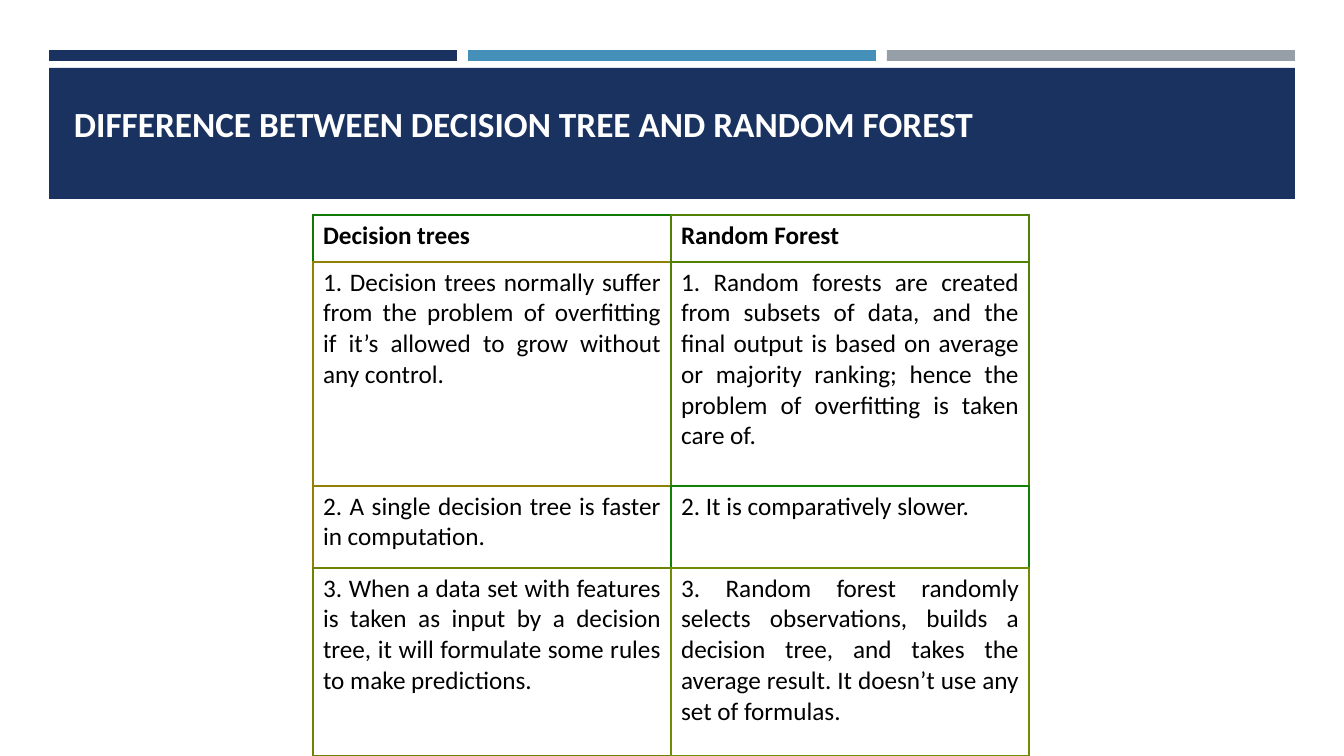
from lxml.etree import SubElement
from pptx import Presentation
from pptx.dml.color import RGBColor
from pptx.enum.shapes import MSO_SHAPE as Shape
from pptx.enum.text import MSO_ANCHOR as Anchor, PP_ALIGN as Align
from pptx.oxml.ns import qn
from pptx.util import Emu, Pt

EMU_PER_PX = 914400 / 100.8
FONT = "Calibri"
COLORS = {
    "navy": "1A3260",
    "blue": "4590B8",
    "gray": "969FA7",
    "white": "FFFFFF",
    "black": "000000",
    "green": "107904",
    "leaf": "508104",
    "gold": "908304",
    "olive": "908104",
    "emerald": "108204",
    "moss": "708204",
    "lime": "708C04",
}
SIDES = ("lnL", "lnR", "lnT", "lnB")
COLUMN_WIDTH = 358
ROW_HEIGHTS = (47, 224, 82, 188)

# Each cell: its text, then its border colours in the order of SIDES.
ROWS = [
    [("Decision trees", "green leaf green gold"),
     ("Random Forest", "leaf leaf leaf leaf")],
    [("1. Decision trees normally suffer from the problem of overfitting "
      "if it’s allowed to grow without any control.",
      "gold leaf gold olive"),
     ("1. Random forests are created from subsets of data, and the final "
      "output is based on average or majority ranking; hence the problem "
      "of overfitting is taken care of.",
      "leaf leaf leaf emerald")],
    [("2. A single decision tree is faster in computation.",
      "olive emerald olive moss"),
     ("2. It is comparatively slower.",
      "emerald emerald emerald lime")],
    [("3. When a data set with features is taken as input by a decision "
      "tree, it will formulate some rules to make predictions.",
      "moss lime moss moss"),
     ("3. Random forest randomly selects observations, builds a decision "
      "tree, and takes the average result. It doesn’t use any set of "
      "formulas.",
      "lime lime lime lime")],
]


def px(length):
    return Emu(round(length * EMU_PER_PX))


def rgb(name):
    return RGBColor.from_string(COLORS[name])


def style_font(para, size, color, bold):
    para.font.name = FONT
    para.font.size = Pt(size)
    para.font.bold = bold
    para.font.color.rgb = rgb(color)


def add_bar(page, left, top, width, height, color):
    bar = page.shapes.add_shape(
        Shape.RECTANGLE, px(left), px(top), px(width), px(height))
    bar.shadow.inherit = False
    bar.fill.solid()
    bar.fill.fore_color.rgb = rgb(color)
    bar.line.fill.background()


def add_title(page, text):
    box = page.shapes.add_textbox(px(64), px(98), px(1216), px(50))
    frame = box.text_frame
    frame.word_wrap = True
    frame.vertical_anchor = Anchor.MIDDLE
    para = frame.paragraphs[0]
    para.text = text
    style_font(para, 25.2, "white", True)


def set_borders(cell, names):
    properties = cell._tc.get_or_add_tcPr()
    for index, (side, name) in enumerate(zip(SIDES, names.split())):
        line = SubElement(properties, qn(f"a:{side}"), w=str(Pt(1)))
        fill = SubElement(line, qn("a:solidFill"))
        SubElement(fill, qn("a:srgbClr"), val=COLORS[name])
        properties.insert(index, line)  # borders must precede the cell fill


def fill_cell(cell, text, borders, is_header):
    cell.fill.solid()
    cell.fill.fore_color.rgb = rgb("white")
    set_borders(cell, borders)
    para = cell.text_frame.paragraphs[0]
    para.text = text
    para.alignment = Align.LEFT if is_header else Align.JUSTIFY
    style_font(para, 18, "black", is_header)


def add_comparison(page, left, top):
    column_count = len(ROWS[0])
    table = page.shapes.add_table(
        len(ROWS), column_count, px(left), px(top),
        px(COLUMN_WIDTH * column_count), px(sum(ROW_HEIGHTS))).table
    table.first_row = False
    table.horz_banding = False
    for column in table.columns:
        column.width = px(COLUMN_WIDTH)
    for row_index, (height, row) in enumerate(zip(ROW_HEIGHTS, ROWS)):
        table.rows[row_index].height = px(height)
        for column_index, (text, borders) in enumerate(row):
            fill_cell(table.cell(row_index, column_index), text, borders,
                      row_index == 0)


def main():
    deck = Presentation()
    deck.slide_width, deck.slide_height = px(1344), px(756)
    page = deck.slides.add_slide(deck.slide_layouts[6])
    for index, color in enumerate(("navy", "blue", "gray")):
        add_bar(page, 49 + 419 * index, 50, 408, 11, color)
    add_bar(page, 49, 68, 1246, 131, "navy")
    add_title(page, "DIFFERENCE BETWEEN DECISION\u00a0TREE AND RANDOM FOREST"
              .replace("\u00a0", " "))
    add_comparison(page, 313, 215)
    deck.save("out.pptx")


if __name__ == "__main__":
    main()
